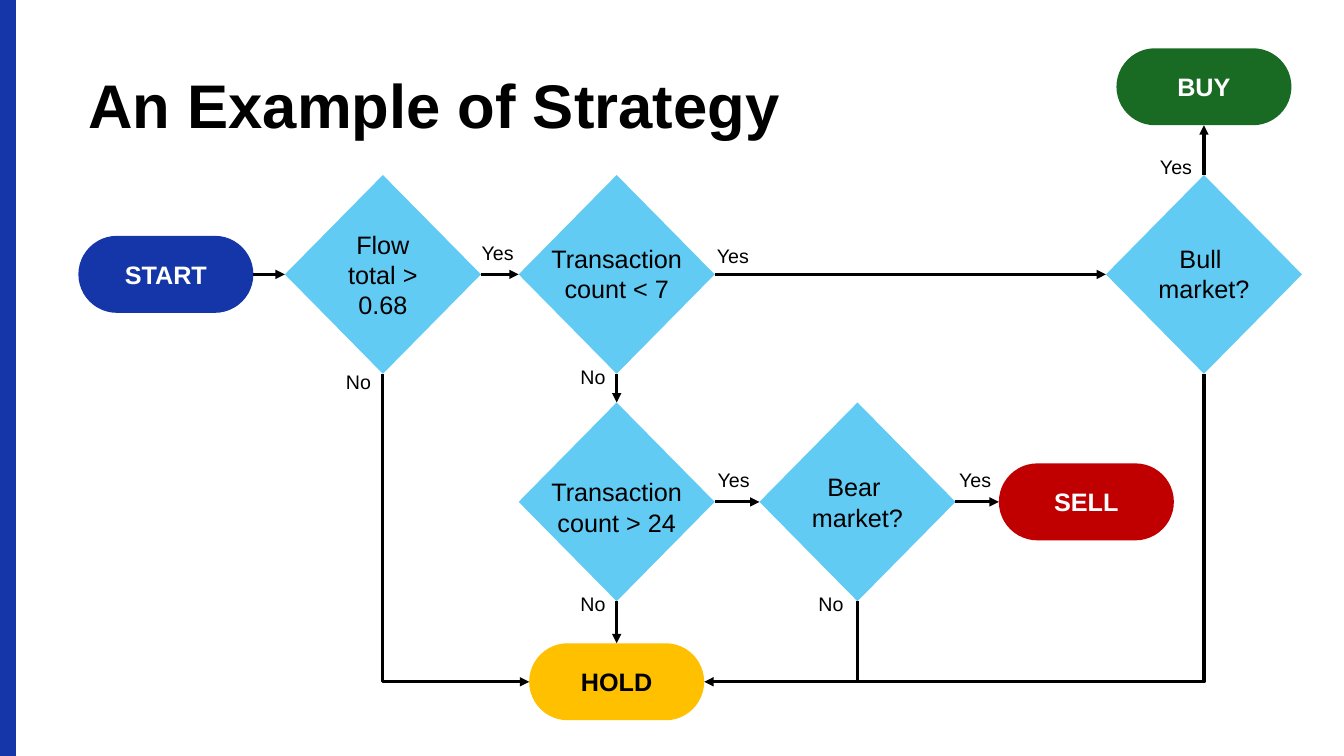
import pptx
import pptx.util
import pptx.dml.color
import pptx.enum.shapes
import pptx.enum.text
import pptx.oxml.ns
from lxml import etree

Pt = pptx.util.Pt
RGB = pptx.dml.color.RGBColor.from_string
SHAPE = pptx.enum.shapes.MSO_SHAPE
CONNECTOR = pptx.enum.shapes.MSO_CONNECTOR
ANCHOR = pptx.enum.text.MSO_ANCHOR
ALIGN = pptx.enum.text.PP_ALIGN
qn = pptx.oxml.ns.qn

COLORS = {"blue": "1436A9", "sky": "61CBF4", "green": "196B24", "red": "C00000",
          "yellow": "FFC000", "black": "000000", "white": "FFFFFF"}
TOP_ROW, LOWER_ROW, HOLD_ROW = 196, 358.5, 487
PILL_W, PILL_H = 125, 55
DIAMOND_W, DIAMOND_H = 140, 142


def write(holder, text, size, color="black", bold=False, align=ALIGN.CENTER, anchor=ANCHOR.MIDDLE):
    frame = holder.text_frame
    frame.word_wrap = True
    frame.vertical_anchor = anchor
    frame.text = text
    paragraph = frame.paragraphs[0]
    paragraph.alignment = align
    paragraph.font.name = "Arial"
    paragraph.font.size = Pt(size)
    paragraph.font.bold = bold
    paragraph.font.color.rgb = RGB(COLORS[color])


def style_line(connector, arrow=True):
    connector.line.color.rgb = RGB(COLORS["black"])
    connector.line.width = Pt(2.25)
    if arrow:
        etree.SubElement(connector.line._get_or_add_ln(), qn("a:tailEnd"), type="triangle")
    etree.SubElement(connector._element.spPr, qn("a:effectLst"))


deck = pptx.Presentation()
deck.slide_width, deck.slide_height = Pt(960), Pt(540)
slide = deck.slides.add_slide(deck.slide_layouts[5])
shapes = slide.shapes

title = shapes.title
title.left, title.top, title.width, title.height = Pt(56), Pt(44.5), Pt(535), Pt(60.5)
write(title, "An Example of Strategy", 44, bold=True, align=ALIGN.LEFT, anchor=ANCHOR.TOP)

sidebar = shapes.add_shape(SHAPE.RECTANGLE, 0, 0, Pt(11.4), Pt(540))
sidebar.shadow.inherit = False
sidebar.fill.solid()
sidebar.fill.fore_color.rgb = RGB(COLORS["blue"])
sidebar.line.fill.background()

nodes = {}
for name, kind, center_x, center_y, fill in [
    ("START", "pill", 118.5, TOP_ROW, "blue"),
    ("HOLD", "pill", 440.5, HOLD_ROW, "yellow"),
    ("BUY", "pill", 860, 62, "green"),
    ("SELL", "pill", 776, LOWER_ROW, "red"),
    ("flow", "diamond", 273.5, TOP_ROW, "sky"),
    ("few", "diamond", 440.5, TOP_ROW, "sky"),
    ("many", "diamond", 440.5, LOWER_ROW, "sky"),
    ("bear", "diamond", 612.5, LOWER_ROW, "sky"),
    ("bull", "diamond", 860, TOP_ROW, "sky"),
]:
    is_pill = kind == "pill"
    width, height = (PILL_W, PILL_H) if is_pill else (DIAMOND_W, DIAMOND_H)
    node = shapes.add_shape(SHAPE.ROUNDED_RECTANGLE if is_pill else SHAPE.DIAMOND,
                            Pt(center_x - width / 2), Pt(center_y - height / 2), Pt(width), Pt(height))
    node.shadow.inherit = False
    node.fill.solid()
    node.fill.fore_color.rgb = RGB(COLORS[fill])
    node.line.fill.background()
    if is_pill:
        node.adjustments[0] = 0.5
        write(node, name, 18, "black" if name == "HOLD" else "white", bold=True)
    nodes[name] = node
write(nodes["flow"], "Flow total > 0.68", 18)

for question, center_x, center_y in [
    ("Transaction count < 7", 440.5, 195.5),
    ("Transaction count > 24", 440.5, 362),
    ("Bear \vmarket?", 612.5, 358.5),
    ("Bull \vmarket?", 860, 195.5),
]:
    box = shapes.add_textbox(Pt(center_x - 71), Pt(center_y - 25.5), Pt(142), Pt(51))
    write(box, question, 18)

for source, source_side, target, target_side in [
    ("START", 3, "flow", 1),
    ("flow", 3, "few", 1),
    ("few", 3, "bull", 1),
    ("few", 2, "many", 0),
    ("many", 3, "bear", 1),
    ("bear", 3, "SELL", 1),
    ("many", 2, "HOLD", 0),
    ("bull", 0, "BUY", 2),
]:
    arrow = shapes.add_connector(CONNECTOR.STRAIGHT, 0, 0, 0, 0)
    arrow.begin_connect(nodes[source], source_side)
    arrow.end_connect(nodes[target], target_side)
    style_line(arrow)

bear_exit = shapes.add_connector(CONNECTOR.STRAIGHT, 0, 0, Pt(612.5), Pt(HOLD_ROW))
bear_exit.begin_connect(nodes["bear"], 2)
style_line(bear_exit, arrow=False)

exit_y = TOP_ROW + DIAMOND_H / 2
drop = HOLD_ROW - exit_y
for start_x, hold_x, direction, degrees in [(273.5, 378, 1, 270), (860, 503, -1, 90)]:
    middle_x, middle_y = (start_x + hold_x) / 2, (exit_y + HOLD_ROW) / 2
    half_drop, half_run = direction * drop / 2, abs(hold_x - start_x) / 2
    elbow = shapes.add_connector(CONNECTOR.ELBOW,
                                 Pt(middle_x + half_drop), Pt(middle_y - half_run),
                                 Pt(middle_x - half_drop), Pt(middle_y + half_run))
    properties = elbow._element.spPr
    properties.find(qn("a:xfrm")).set("rot", str(degrees * 60000))
    properties.find(qn("a:prstGeom")).set("prst", "bentConnector2")
    style_line(elbow)

for answer, left, top in [
    ("No", 240, 260.5),
    ("Yes", 337, 168.5),
    ("Yes", 505, 170.5),
    ("No", 407.5, 257),
    ("Yes", 505.5, 330.5),
    ("No", 407.5, 419),
    ("Yes", 678, 330.5),
    ("No", 577.5, 419.5),
    ("Yes", 821.5, 107),
]:
    label = shapes.add_textbox(Pt(left), Pt(top), Pt(45), Pt(24.5))
    write(label, answer, 14, align=ALIGN.LEFT, anchor=ANCHOR.TOP)

deck.save("out.pptx")
